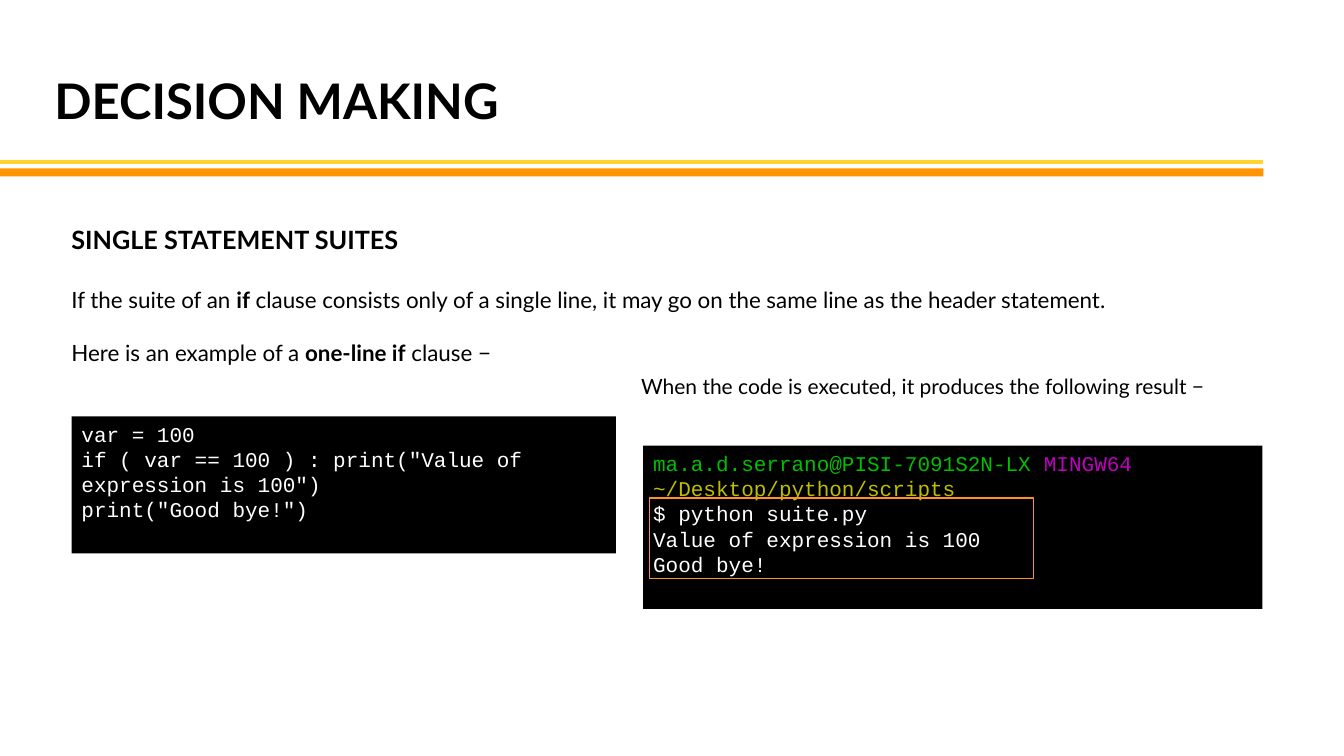
from pptx import Presentation
from pptx.dml.color import RGBColor
from pptx.enum.shapes import MSO_CONNECTOR, MSO_SHAPE
from pptx.enum.text import MSO_ANCHOR, MSO_AUTO_SIZE, PP_ALIGN
from pptx.oxml.ns import qn
from pptx.util import Pt
from lxml import etree

RECTANGLE = MSO_SHAPE.RECTANGLE
STRAIGHT = MSO_CONNECTOR.STRAIGHT
TOP = MSO_ANCHOR.TOP
NO_AUTOFIT = MSO_AUTO_SIZE.NONE
LEFT = PP_ALIGN.LEFT

PX = 9144
THEME = {
    "black": "000000", "white": "FFFFFF", "yellow": "FFD42E", "orange": "FF9500",
    "frame": "FF9128", "user": "00BF00", "shell": "BF00BF", "folder": "BFBF00",
    "prose": "Lato", "code": "Courier New",
    "title": 35, "heading": 18, "body": 16, "small": 15,
}


def add_rectangle(place, fill=None, line=None):
    box = page.shapes.add_shape(RECTANGLE, *[length * PX for length in place])
    box.shadow.inherit = False
    if fill:
        box.fill.solid()
        box.fill.fore_color.rgb = RGBColor.from_string(THEME[fill])
    else:
        box.fill.background()
    if line:
        box.line.color.rgb = RGBColor.from_string(THEME[line])
        box.line.width = Pt(1)
    else:
        box.line.fill.background()
    return box


def write(box, font, paragraphs):
    frame = box.text_frame
    for name, value in {"word_wrap": True, "auto_size": NO_AUTOFIT, "vertical_anchor": TOP}.items():
        setattr(frame, name, value)
    for index, (size, space, spans) in enumerate(paragraphs):
        para = frame.add_paragraph() if index else frame.paragraphs[0]
        para.alignment = LEFT
        if index:
            para.space_before = Pt(space)
        for text, color, bold in spans:
            span = para.add_run()
            span.text = text
            for name, value in {"name": THEME[font], "size": Pt(THEME[size]), "bold": bold}.items():
                setattr(span.font, name, value)
            span.font.color.rgb = RGBColor.from_string(THEME[color])


deck = Presentation()
deck.slide_width, deck.slide_height = 1333 * PX, 750 * PX
page = deck.slides.add_slide(deck.slide_layouts[5])

title = page.shapes.title
title_format = {"left": 54, "top": 70, "width": 787, "height": 64}
for name, value in title_format.items():
    setattr(title, name, value * PX)
title_margins = {"margin_left": 0, "margin_top": 0, "margin_right": 0, "margin_bottom": 5}
for name, value in title_margins.items():
    setattr(title.text_frame, name, value * PX)
write(title, "prose", [("title", 0, [("DECISION MAKING", "black", True)])])

rule = page.shapes.add_connector(STRAIGHT, 0, 161 * PX, 1253 * PX, 161 * PX)
rule.line.color.rgb = RGBColor.from_string(THEME["yellow"])
rule.line.width = Pt(3)
etree.SubElement(rule.element.spPr, qn("a:effectLst"))
add_rectangle((0, 167, 1253, 8), fill="orange")

prose_boxes = [
    ((61, 218, 1131, 209), [
        ("heading", 0, [("SINGLE STATEMENT SUITES", "black", True)]),
        ("body", 22, [
            ("If the suite of an ", "black", False),
            ("if", "black", True),
            (" clause consists only of a single line, it may go on the same line as the header statement.",
             "black", False),
        ]),
        ("body", 19, [
            ("Here is an example of a ", "black", False),
            ("one-line if", "black", True),
            (" clause −", "black", False),
        ]),
    ]),
    ((626, 366, 606, 61), [
        ("small", 0, [("When the code is executed, it produces the following result −", "black", False)]),
    ]),
]
for place, paragraphs in prose_boxes:
    box = page.shapes.add_textbox(*[length * PX for length in place])
    write(box, "prose", paragraphs)

code_boxes = [
    ((71, 413, 540, 136), [
        [("var = 100", "white")],
        [('if ( var == 100 ) : print("Value of expression is 100")', "white")],
        [('print("Good bye!")', "white")],
    ]),
    ((638, 442, 614, 162), [
        [("ma.a.d.serrano@PISI-7091S2N-LX ", "user"), ("MINGW64 ", "shell"),
         ("~/Desktop/python/scripts", "folder")],
        [("$ python suite.py", "white")],
        [("Value of expression is 100", "white")],
        [("Good bye!", "white")],
    ]),
]
for place, lines in code_boxes:
    box = add_rectangle(place, fill="black")
    write(box, "code", [("small", 0, [(text, color, False) for text, color in line]) for line in lines])

add_rectangle((644, 494, 381, 80), line="frame")

deck.save("out.pptx")
